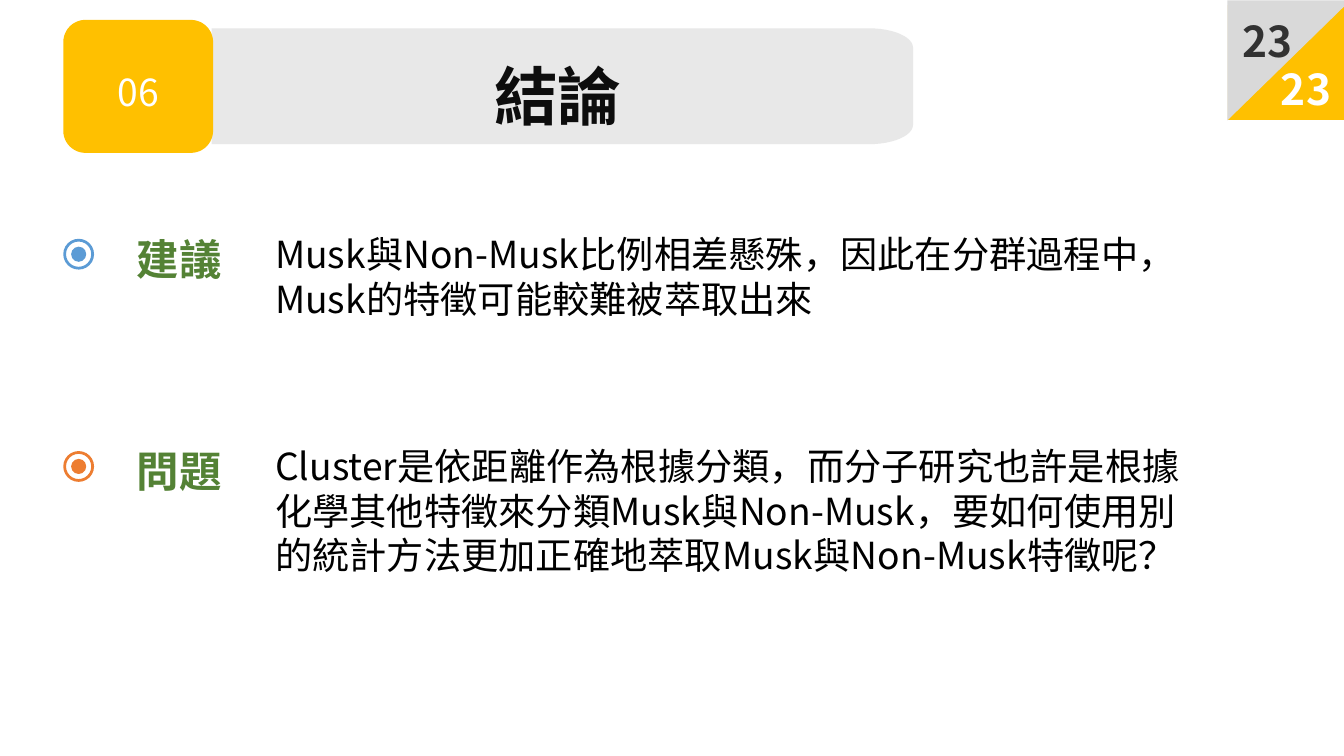
from math import cos, pi, sin

from lxml.etree import SubElement
from pptx import Presentation
from pptx.dml.color import RGBColor
from pptx.enum.shapes import MSO_SHAPE as SHAPE
from pptx.enum.text import MSO_ANCHOR as ANCHOR, PP_ALIGN as ALIGN
from pptx.oxml.ns import qn
from pptx.util import Pt

FONT = "Noto Sans CJK SC"
YELLOW = "FFC000"
WHITE = "FFFFFF"

prs = Presentation()
prs.slide_width, prs.slide_height = Pt(960), Pt(540)
s = prs.slides.add_slide(prs.slide_layouts[6])


def paint(sp, color):
    """Give a shape a plain fill with no outline or shadow."""
    sp.shadow.inherit = False
    sp.fill.solid()
    sp.fill.fore_color.rgb = RGBColor.from_string(color)
    sp.line.fill.background()
    return sp


def write(sp, text, size, color, bold=False, align=ALIGN.LEFT, anchor=ANCHOR.TOP,
          leading=1.3, inset=None, wrap=True):
    """Fill a shape with one paragraph; leading is a multiple of the size."""
    tf = sp.text_frame
    tf.word_wrap = wrap
    tf.vertical_anchor = anchor
    if inset is not None:
        tf.margin_left = tf.margin_right = tf.margin_top = tf.margin_bottom = Pt(inset)
    p = tf.paragraphs[0]
    p.alignment = align
    p.line_spacing = Pt(round(size * leading, 1))
    r = p.add_run()
    r.text = text
    r.font.size, r.font.bold, r.font.name = Pt(size), bold, FONT
    r.font.color.rgb = RGBColor.from_string(color)
    SubElement(r.font._element, qn("a:ea"), typeface=FONT)


# Title banner, square on the left and with elliptical corners on the right
left, top, right, bottom = 151.2, 20.2, 652.2, 103
rx, ry, steps = 31.5, 13.8, 12
angles = [i * pi / 2 / steps for i in range(steps + 1)]
upper = [(right - rx + rx * sin(a), top + ry - ry * cos(a)) for a in angles]
lower = [(x, top + bottom - y) for x, y in reversed(upper)]
outline = [(Pt(x), Pt(y)) for x, y in upper + lower + [(left, bottom)]]
builder = s.shapes.build_freeform(Pt(left), Pt(top))
builder.add_line_segments(outline, close=True)
banner = paint(builder.convert_to_shape(), "E6E6E6")
banner_color = banner._element.spPr.find(qn("a:solidFill"))[0]
SubElement(banner_color, qn("a:alpha"), val="90000")

badge = paint(s.shapes.add_shape(SHAPE.ROUNDED_RECTANGLE, Pt(45.2), Pt(14.2),
                                 Pt(107), Pt(95)), YELLOW)
write(badge, "06", 26.6, WHITE, align=ALIGN.CENTER, anchor=ANCHOR.MIDDLE,
      leading=1.5, inset=0)

title = s.shapes.add_textbox(Pt(189.4), Pt(36), Pt(418.3), Pt(55.4))
write(title, "結論", 45.5, "0D0D0D", bold=True, align=ALIGN.CENTER, inset=0)

# Conclusion rows: bullet, heading and body
rows = [
    (181.6, "5B9BD5", "建議", 71.3,
     "Musk與Non-Musk比例相差懸殊，因此在分群過程中，Musk的特徵可能較難被萃取出來"),
    (333.2, "ED7D31", "問題", 124.6,
     "Cluster是依距離作為根據分類，而分子研究也許是根據化學其他特徵來分類"
     "Musk與Non-Musk，要如何使用別的統計方法更加正確地萃取Musk與Non-Musk特徵呢？"),
]
for center, color, heading, height, body in rows:
    for shape, size in ((SHAPE.OVAL, 10.8), (SHAPE.DONUT, 22)):
        dot = paint(s.shapes.add_shape(shape, Pt(56.2 - size / 2), Pt(center - size / 2),
                                       Pt(size), Pt(size)), color)
        if shape == SHAPE.DONUT:
            dot.adjustments[0] = 0.09
    label = s.shapes.add_textbox(Pt(90.7), Pt(center - 22), Pt(75.6), Pt(44))
    write(label, heading, 30.3, "548235", bold=True, wrap=False)
    detail = s.shapes.add_textbox(Pt(189.4), Pt(center - 20), Pt(683.3), Pt(height))
    write(detail, body, 26.6, "000000", leading=1.2)

# Page counter in the corner
paint(s.shapes.add_shape(SHAPE.RECTANGLE, Pt(877), Pt(3.6), Pt(83), Pt(82)), YELLOW)
fold = paint(s.shapes.add_shape(SHAPE.RIGHT_TRIANGLE, Pt(877.7), Pt(-0.7),
                                Pt(85.7), Pt(87.8)), "D9D9D9")
fold.rotation = 90
for x, y, color in ((880.6, 4.3, "323232"), (907.9, 38.2, WHITE)):
    page = s.shapes.add_textbox(Pt(x), Pt(y), Pt(51.1), Pt(44))
    write(page, "23", 30.3, color, bold=True, wrap=False)

prs.save("out.pptx")
